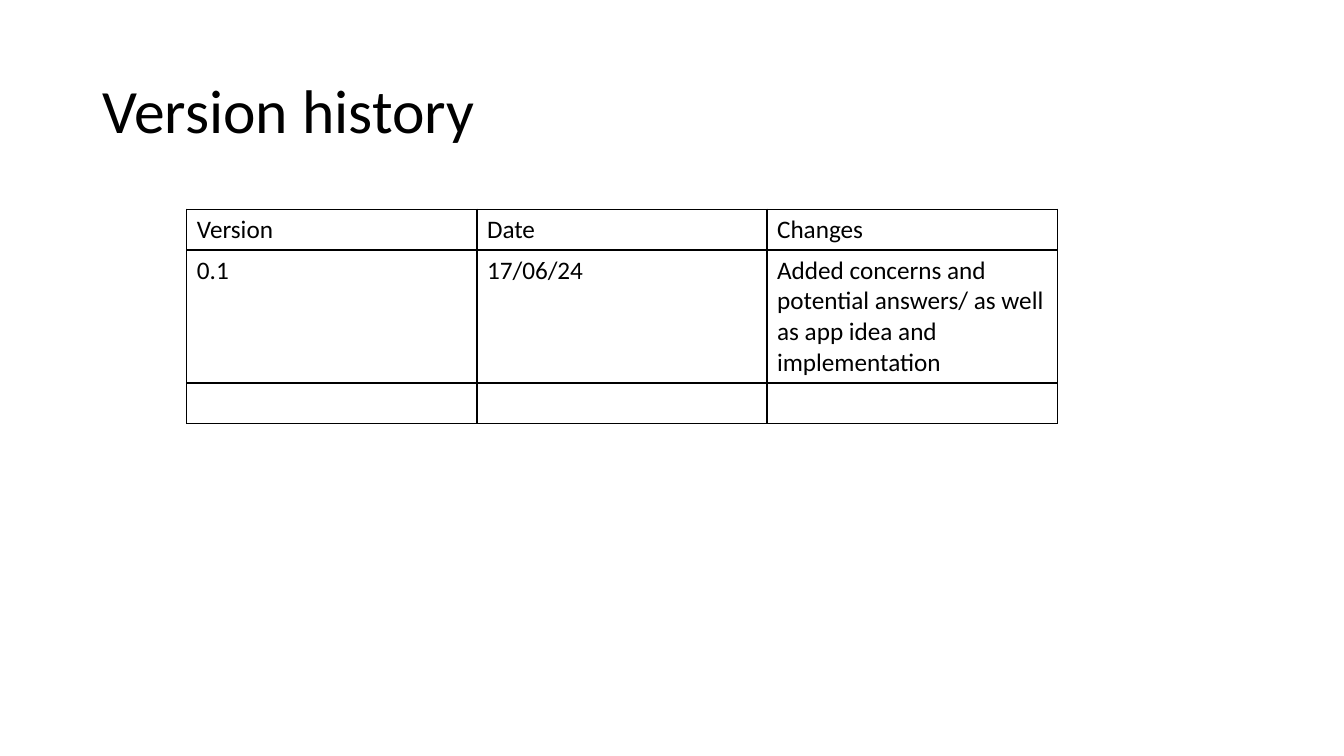
"""Builds the version history slide."""

from dataclasses import dataclass

from lxml.etree import SubElement
from pptx import Presentation
from pptx.dml.color import RGBColor
from pptx.enum.text import MSO_ANCHOR
from pptx.oxml.ns import qn
from pptx.slide import Slide
from pptx.table import _Cell
from pptx.text.text import _Paragraph
from pptx.util import Cm, Pt


@dataclass(frozen=True)
class Theme:
    font: str = "Calibri"
    ink: str = "000000"
    title_size: int = 44
    table_size: int = 18
    border_width: int = 1


@dataclass(frozen=True)
class Version:
    number: str = ""
    date: str = ""
    changes: str = ""
    height: float = 1.03

    def texts(self) -> tuple[str, str, str]:
        return self.number, self.date, self.changes


THEME = Theme()
COLUMN_WIDTH = 7.31
VERSIONS = [
    Version("Version", "Date", "Changes"),
    Version(
        "0.1",
        "17/06/24",
        "Added concerns and potential answers/ as well as app idea and implementation",
        height=3.35,
    ),
    Version(),
]


def style_paragraph(para: _Paragraph, size: int) -> None:
    para.font.size = Pt(size)
    for span in para.runs:
        span.font.name = THEME.font
        span.font.size = Pt(size)
        span.font.color.rgb = RGBColor.from_string(THEME.ink)


def add_title(page: Slide, text: str) -> None:
    box = page.shapes.add_textbox(Cm(2.33), Cm(1.01), Cm(29.21), Cm(3.68))
    frame = box.text_frame
    frame.word_wrap = True
    frame.vertical_anchor = MSO_ANCHOR.MIDDLE
    frame.text = text
    para = frame.paragraphs[0]
    para.line_spacing = 0.9
    style_paragraph(para, THEME.title_size)


def add_borders(cell: _Cell) -> None:
    properties = cell._tc.get_or_add_tcPr()
    for side in ("a:lnL", "a:lnR", "a:lnT", "a:lnB"):
        line = SubElement(properties, qn(side), w=str(Pt(THEME.border_width)))
        fill = SubElement(line, qn("a:solidFill"))
        SubElement(fill, qn("a:srgbClr"), val=THEME.ink)


def fill_cell(cell: _Cell, text: str) -> None:
    add_borders(cell)
    cell.fill.background()
    cell.text_frame.text = text
    style_paragraph(cell.text_frame.paragraphs[0], THEME.table_size)


def add_history(page: Slide, versions: list[Version]) -> None:
    column_count = len(versions[0].texts())
    height = sum(version.height for version in versions)
    frame = page.shapes.add_table(
        len(versions), column_count,
        Cm(4.71), Cm(5.27), Cm(COLUMN_WIDTH * column_count), Cm(height),
    )
    table = frame.table
    table.first_row = False
    table.horz_banding = False
    for column in table.columns:
        column.width = Cm(COLUMN_WIDTH)
    for row, version in zip(table.rows, versions):
        row.height = Cm(version.height)
        for cell, text in zip(row.cells, version.texts()):
            fill_cell(cell, text)


def main() -> None:
    deck = Presentation()
    deck.slide_width, deck.slide_height = Cm(33.87), Cm(19.05)
    page = deck.slides.add_slide(deck.slide_layouts[6])
    add_title(page, "Version history")
    add_history(page, VERSIONS)
    deck.save("out.pptx")


if __name__ == "__main__":
    main()
